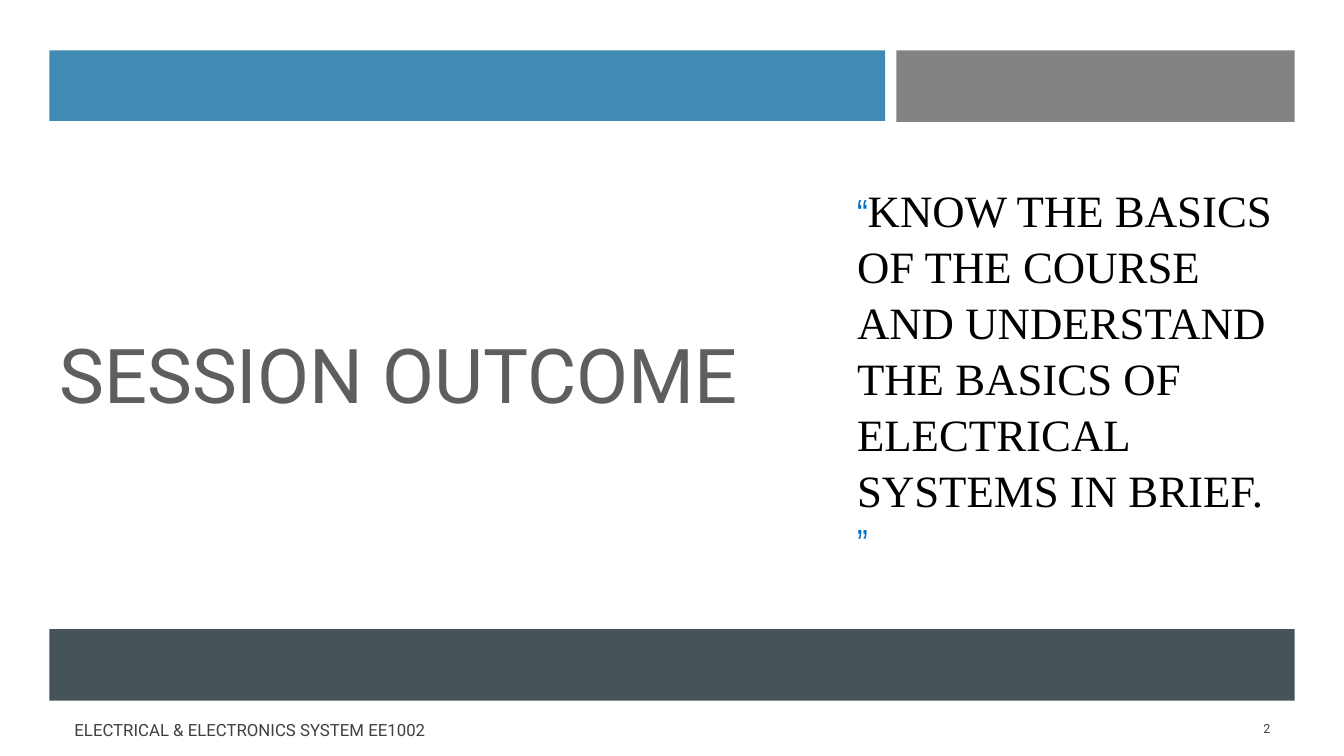
import pptx
import pptx.util
import pptx.dml.color
import pptx.enum.shapes
import pptx.enum.text

Inches = pptx.util.Inches
Pt = pptx.util.Pt
RGBColor = pptx.dml.color.RGBColor
ALIGN = pptx.enum.text.PP_ALIGN

WHITE = RGBColor(0xFF, 0xFF, 0xFF)
BLACK = RGBColor(0x00, 0x00, 0x00)
BLUE = RGBColor(0x41, 0x8A, 0xB3)
GREY = RGBColor(0x83, 0x83, 0x83)
SLATE = RGBColor(0x46, 0x53, 0x59)
TITLE_GREY = RGBColor(0x5E, 0x5E, 0x5E)
QUOTE_BLUE = RGBColor(0x00, 0x70, 0xC0)
FOOTER_GREY = RGBColor(0x40, 0x40, 0x40)

# Run formats: font name, size in points, colour
TITLE = ("Roboto", 54, TITLE_GREY)
QUOTE_MARK = ("Arial Narrow", 28, QUOTE_BLUE)
QUOTE = ("Times New Roman", 32, BLACK)
FOOTER = ("Roboto", 12, FOOTER_GREY)
NUMBER = ("Roboto", 9, FOOTER_GREY)


def set_attributes(target, values):
    for name, value in values.items():
        setattr(target, name, value)


def place(sp, left, top, width, height):
    set_attributes(sp, {"left": Inches(left), "top": Inches(top),
                        "width": Inches(width), "height": Inches(height)})


def write(sp, runs, **paragraph_format):
    """Fill a shape with one paragraph; a None run is a line break."""
    tf = sp.text_frame
    set_attributes(tf, {"word_wrap": True,
                        "auto_size": pptx.enum.text.MSO_AUTO_SIZE.NONE,
                        "vertical_anchor": pptx.enum.text.MSO_ANCHOR.MIDDLE})
    p = tf.paragraphs[0]
    set_attributes(p, {"alignment": ALIGN.LEFT, **paragraph_format})
    for run in runs:
        if run is None:
            p.add_line_break()
            continue
        text, (font, size, colour) = run
        r = p.add_run()
        r.text = text
        set_attributes(r.font, {"name": font, "size": Pt(size)})
        r.font.color.rgb = colour


def add_bar(s, colour, *box):
    sp = s.shapes.add_shape(pptx.enum.shapes.MSO_SHAPE.RECTANGLE,
                            *map(Inches, box))
    sp.shadow.inherit = False
    sp.fill.solid()
    sp.fill.fore_color.rgb = colour
    sp.line.fill.background()


def add_label(s, text, style, alignment, *box):
    sp = s.shapes.add_textbox(*map(Inches, box))
    write(sp, [(text, style)], alignment=alignment)


def main():
    prs = pptx.Presentation()
    set_attributes(prs, {"slide_width": Inches(13.33),
                         "slide_height": Inches(7.5)})
    s = prs.slides.add_slide(prs.slide_layouts[0])
    s.background.fill.solid()
    s.background.fill.fore_color.rgb = WHITE

    # Title and quotation
    title, subtitle = s.placeholders
    place(title, 0.49, 1.7, 7.91, 4)
    write(title, [("SESSION OUTCOME", TITLE)])
    place(subtitle, 8.4, 1.7, 4.44, 4)
    write(subtitle,
          [("“", QUOTE_MARK),
           ("KNOW THE BASICS OF THE COURSE AND UNDERSTAND THE BASICS OF "
            "ELECTRICAL SYSTEMS IN BRIEF.", QUOTE),
           None,
           ("”", QUOTE_MARK)],
          line_spacing=1.04, space_after=Pt(6))

    # Coloured bars
    add_bar(s, BLUE, 0.49, 0.5, 8.29, 0.7)
    add_bar(s, GREY, 8.89, 0.5, 3.95, 0.71)
    add_bar(s, SLATE, 0.49, 6.24, 12.35, 0.71)

    # Footer
    add_label(s, "ELECTRICAL & ELECTRONICS SYSTEM EE1002", FOOTER,
              ALIGN.LEFT, 0.64, 7.04, 4.61, 0.4)
    add_label(s, "2", NUMBER, ALIGN.RIGHT, 11.55, 7.03, 1.15, 0.4)

    prs.save("out.pptx")


if __name__ == "__main__":
    main()
